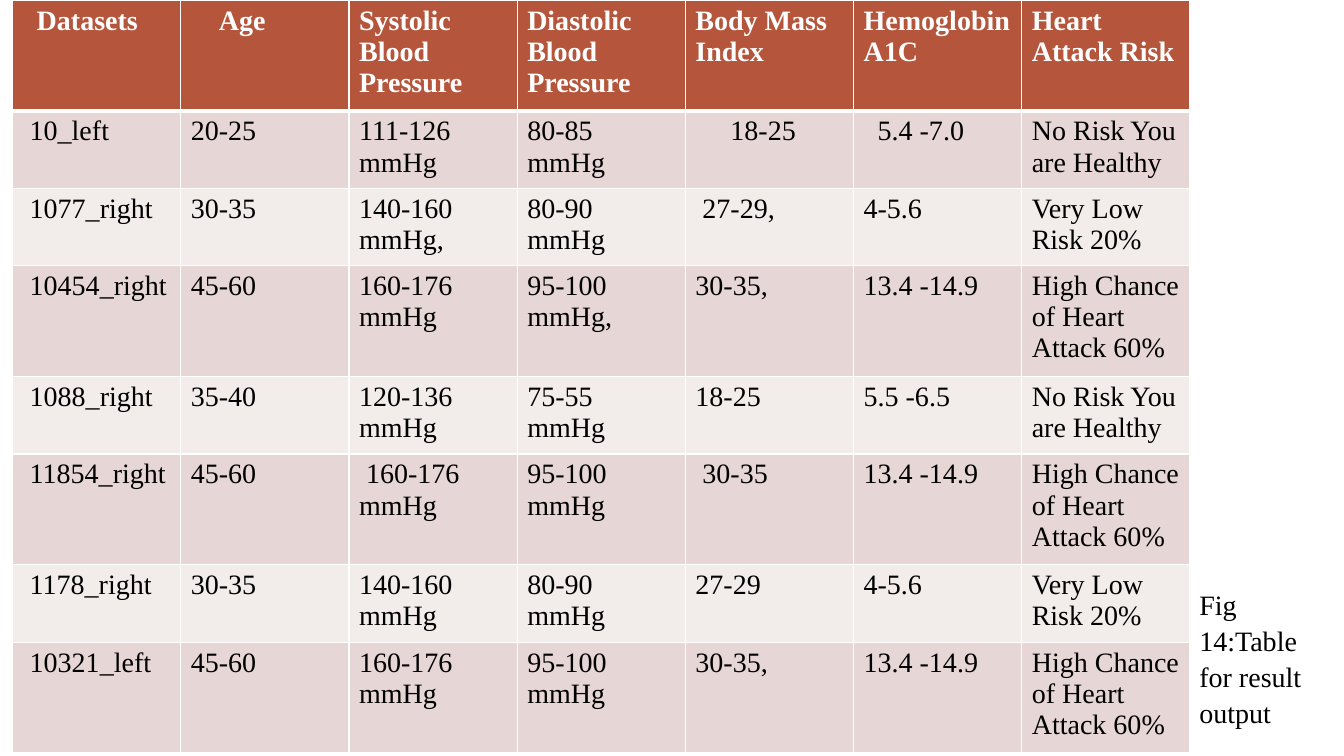
from pptx import Presentation
from pptx.dml.color import RGBColor as RGB
from pptx.oxml.ns import qn
from pptx.util import Pt
from lxml.etree import SubElement

COLORS = {"header": "A53010", "dark": "E1CDCC", "light": "F0E8E7",
          "white": "FFFFFF", "text": "000000"}
FONT, SIZE = "Times New Roman", 20
FILL_ALPHA = 81000
SPACE = 5  # first-line indent step
TALL, SHORT = 79.2, 55.3

HEADER = ["Datasets", "Age", "Systolic Blood Pressure", "Diastolic Blood Pressure",
          "Body Mass Index", "Hemoglobin A1C", "Heart Attack Risk"]
HEALTHY = "No Risk You are Healthy"
LOW = "Very Low Risk 20%"
HIGH = "High Chance of Heart Attack 60%"
RESULTS = [
    ["10_left", "20-25", "111-126 mmHg", "80-85 mmHg", "18-25", "5.4 -7.0", HEALTHY],
    ["1077_right", "30-35", "140-160 mmHg,", "80-90 mmHg", "27-29,", "4-5.6", LOW],
    ["10454_right", "45-60", "160-176 mmHg", "95-100 mmHg,", "30-35,", "13.4 -14.9", HIGH],
    ["1088_right", "35-40", "120-136 mmHg", "75-55 mmHg", "18-25", "5.5 -6.5", HEALTHY],
    ["11854_right", "45-60", "160-176 mmHg", "95-100 mmHg", "30-35", "13.4 -14.9", HIGH],
    ["1178_right", "30-35", "140-160 mmHg", "80-90 mmHg", "27-29", "4-5.6", LOW],
    ["10321_left", "45-60", "160-176 mmHg", "95-100 mmHg", "30-35,", "13.4 -14.9", HIGH],
]
# Indent steps by (row, column); other first-column cells take one step
INDENTS = {(0, 0): 2, (0, 1): 4, (1, 4): 5, (1, 5): 2, (2, 4): 1, (5, 2): 1, (5, 4): 1}


def set_font(p, color, bold=False):
    p.font.name, p.font.size, p.font.bold = FONT, Pt(SIZE), bold
    p.font.color.rgb = RGB.from_string(COLORS[color])


def style_cell(cell, fill, top, bottom):
    tcPr = cell._tc.get_or_add_tcPr()
    # Borders come before the fill
    for side, width in (("L", 1), ("R", 1), ("T", top), ("B", bottom)):
        ln = SubElement(tcPr, qn(f"a:ln{side}"), w=str(Pt(width)))
        solid = SubElement(ln, qn("a:solidFill"))
        SubElement(solid, qn("a:srgbClr"), val=COLORS["white"])
    cell.fill.solid()
    cell.fill.fore_color.rgb = RGB.from_string(COLORS[fill])
    color = tcPr.find(qn("a:solidFill")).find(qn("a:srgbClr"))
    SubElement(color, qn("a:alpha"), val=str(FILL_ALPHA))


def add_results_table(s, x, y, w):
    rows = [HEADER] + RESULTS
    heights = [TALL if row[-1] in (HEADER[-1], HIGH) else SHORT for row in rows]
    table = s.shapes.add_table(len(rows), len(HEADER), Pt(x), Pt(y),
                               Pt(w), Pt(sum(heights))).table
    for col in table.columns:
        col.width = Pt(w / len(HEADER))
    for r, row in enumerate(rows):
        table.rows[r].height = Pt(heights[r])
        fill = "header" if r == 0 else "dark" if r % 2 else "light"
        for c, text in enumerate(row):
            cell = table.cell(r, c)
            style_cell(cell, fill, 3 if r == 1 else 1, 3 if r == 0 else 1)
            p = cell.text_frame.paragraphs[0]
            p.text = text
            steps = INDENTS.get((r, c), 1 if c == 0 else 0)
            if steps:
                p._p.get_or_add_pPr().set("indent", str(Pt(SPACE * steps)))
            set_font(p, "text" if r else "white", bold=r == 0)


def add_caption(s, x, y, w, h):
    tf = s.shapes.add_textbox(Pt(x), Pt(y), Pt(w), Pt(h)).text_frame
    tf.word_wrap = True
    p = tf.paragraphs[0]
    p.text = "Fig 14:Table for result output"
    p.line_spacing = 1.07
    set_font(p, "text")


def main():
    prs = Presentation()
    prs.slide_width, prs.slide_height = Pt(960), Pt(540)
    s = prs.slides.add_slide(prs.slide_layouts[6])
    add_results_table(s, 9, 0, 841)
    add_caption(s, 849.6, 414.7, 110.2, 104.4)
    prs.save("out.pptx")


if __name__ == "__main__":
    main()
